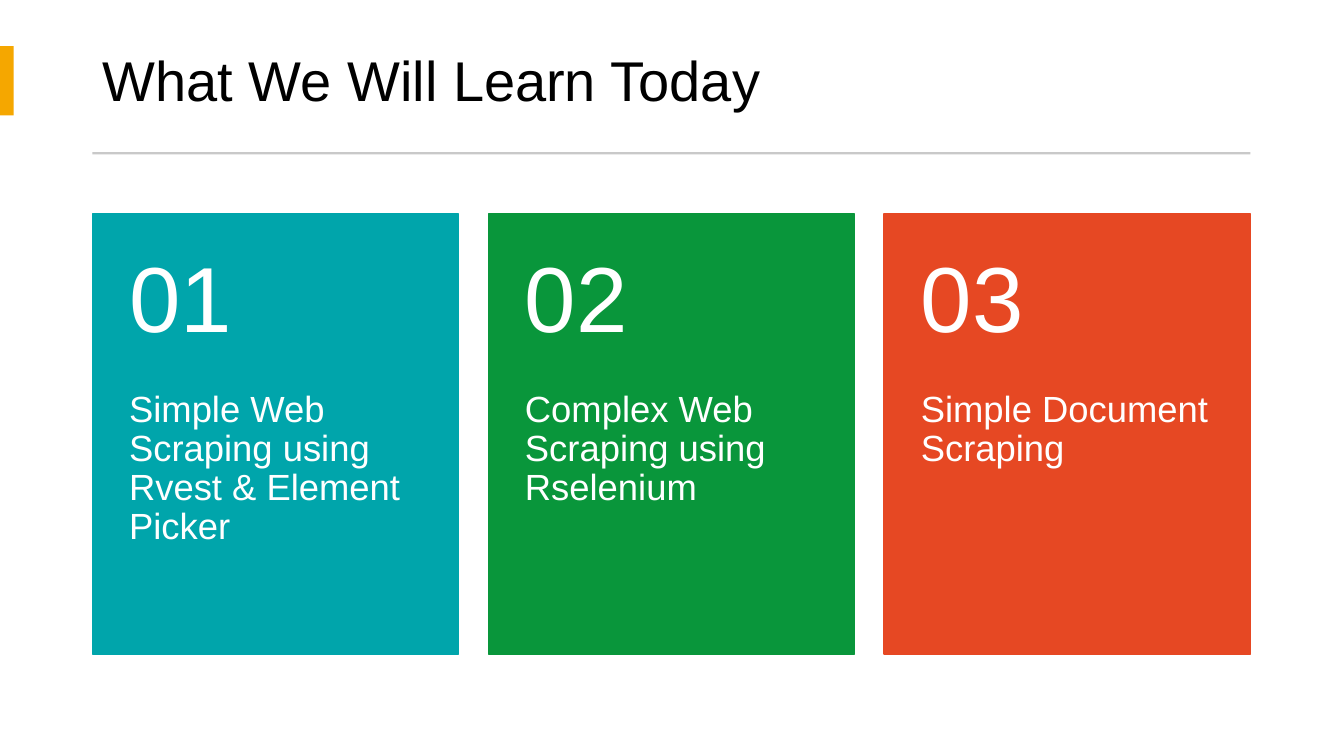
from dataclasses import dataclass

from pptx import Presentation
from pptx.dml.color import RGBColor
from pptx.enum.text import MSO_ANCHOR, PP_ALIGN
from pptx.enum.shapes import MSO_SHAPE
from pptx.util import Pt

PX = 9525


@dataclass(frozen=True)
class Theme:
    """Colours, font and type sizes of the deck."""
    font: str = "Arial"
    ink: str = "000000"
    paper: str = "FFFFFF"
    accent: str = "F5A700"
    rule: str = "C9C9C9"
    cards: tuple = ("00A5AB", "09963B", "E64823")
    title_size: int = 40
    number_size: int = 66
    topic_size: int = 26


THEME = Theme()
LESSONS = (
    "Simple Web Scraping using Rvest & Element Picker",
    "Complex Web Scraping using Rselenium",
    "Simple Document Scraping",
)


def px(*lengths):
    """Turn px lengths into EMU."""
    return [length * PX for length in lengths]


def add_block(shapes, box, colour, outlined=False):
    """Draw a filled rectangle, with an outline of the same colour if asked."""
    block = shapes.add_shape(MSO_SHAPE.RECTANGLE, *px(*box))
    block.shadow.inherit = False
    block.fill.solid()
    block.fill.fore_color.rgb = RGBColor.from_string(colour)
    if outlined:
        block.line.color.rgb = RGBColor.from_string(colour)
        block.line.width = Pt(1)
    else:
        block.line.fill.background()


def add_text(shapes, box, wording, size, colour, insets, anchor):
    """Place one left-aligned paragraph in a wrapping text box."""
    frame = shapes.add_textbox(*px(*box)).text_frame
    frame.word_wrap = True
    frame.vertical_anchor = anchor
    (frame.margin_left, frame.margin_top,
     frame.margin_right, frame.margin_bottom) = px(*insets)
    paragraph = frame.paragraphs[0]
    paragraph.text = wording
    paragraph.alignment = PP_ALIGN.LEFT
    paragraph.line_spacing = 0.9
    paragraph.font.name = THEME.font
    paragraph.font.size = Pt(size)
    paragraph.font.color.rgb = RGBColor.from_string(colour)


def add_header(shapes, box, title):
    """Place the title, the accent at the slide edge and the rule below."""
    left, top, width, height = box
    add_text(shapes, box, title, THEME.title_size, THEME.ink,
             (10, 5, 10, 5), MSO_ANCHOR.MIDDLE)
    add_block(shapes, (0, top + 18, 13, 66), THEME.accent)
    add_block(shapes, (left, top + height + 13, width, 2), THEME.rule)


def add_card(shapes, box, number, topic, colour):
    """Place one numbered lesson card as a group."""
    left, top, width, height = box
    number_height = 168
    card = shapes.add_group_shape().shapes
    add_block(card, box, colour, outlined=True)
    add_text(card, (left, top + number_height, width, height - number_height),
             topic, THEME.topic_size, THEME.paper,
             (35, 0, 35, 35), MSO_ANCHOR.TOP)
    add_text(card, (left, top, width, number_height),
             f"{number:02}", THEME.number_size, THEME.paper,
             (35, 17, 35, 17), MSO_ANCHOR.MIDDLE)


def add_lessons(shapes, box, lessons, gap=28):
    """Share the box between equally wide lesson cards."""
    left, top, width, height = box
    card_width = (width - gap * (len(lessons) - 1)) // len(lessons)
    for index, (topic, colour) in enumerate(zip(lessons, THEME.cards)):
        card_left = left + index * (card_width + gap)
        add_card(shapes, (card_left, top, card_width, height),
                 index + 1, topic, colour)


def main():
    """Build and save the agenda slide."""
    deck = Presentation()
    deck.slide_width, deck.slide_height = px(1280, 720)
    agenda = deck.slides.add_slide(deck.slide_layouts[6])
    agenda.background.fill.solid()
    agenda.background.fill.fore_color.rgb = RGBColor.from_string(THEME.paper)
    add_header(agenda.shapes, (88, 26, 1103, 106), "What We Will Learn Today")
    add_lessons(agenda.shapes, (88, 204, 1103, 419), LESSONS)
    deck.save("out.pptx")


if __name__ == "__main__":
    main()
